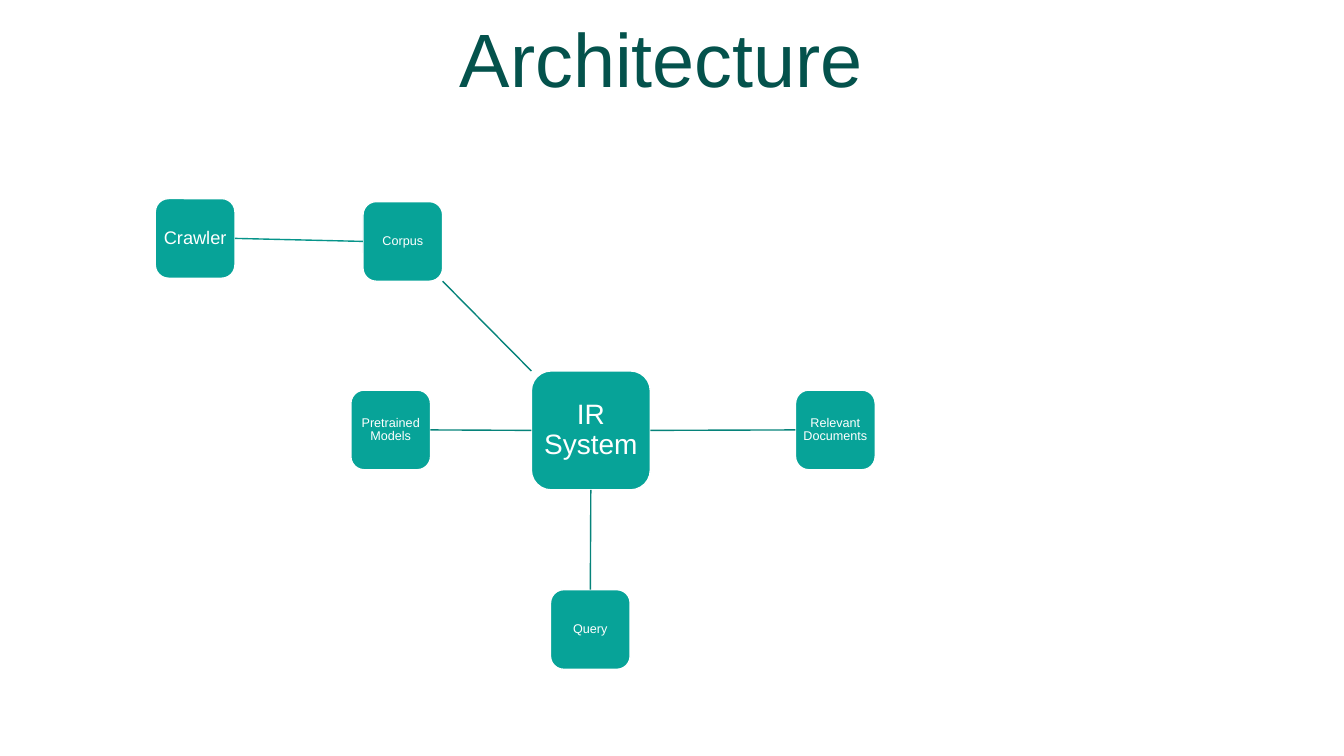
from lxml import etree
from pptx import Presentation
from pptx.dml.color import RGBColor
from pptx.enum.shapes import MSO_CONNECTOR as LINE, MSO_SHAPE as SHAPE
from pptx.enum.text import MSO_ANCHOR as ANCHOR, PP_ALIGN as ALIGN
from pptx.oxml.ns import qn
from pptx.util import Inches, Pt

TOP, LEFT, BOTTOM, RIGHT = range(4)
BIG, SMALL = 1.18, 0.79
# name: left, top, side, text size
NODES = {
    "IR System": (5.27, 3.68, BIG, 20),
    "Relevant Documents": (7.89, 3.87, SMALL, 9),
    "Corpus": (3.6, 2, SMALL, 9),
    "Crawler": (1.54, 1.97, SMALL, 13),
    "Query": (5.46, 5.85, SMALL, 9),
    "Pretrained Models": (3.48, 3.87, SMALL, 9),
}
LINKS = [
    ("IR System", LEFT, "Pretrained Models", RIGHT, "06837A"),
    ("IR System", BOTTOM, "Query", TOP, "06837A"),
    ("IR System", RIGHT, "Relevant Documents", LEFT, "06837A"),
    ("Corpus", LEFT, "Crawler", RIGHT, "06948A"),
]


def color(value):
    return RGBColor.from_string(value)


def write(frame, text, size, ink, inset):
    frame.text = text
    frame.word_wrap = True
    frame.vertical_anchor = ANCHOR.MIDDLE
    frame.margin_left = frame.margin_right = Inches(inset)
    frame.margin_top = frame.margin_bottom = Inches(inset)
    para = frame.paragraphs[0]
    para.alignment = ALIGN.CENTER
    para.line_spacing = 0.9
    font = para.runs[0].font
    font.name, font.size = "Arial", Pt(size)
    font.color.rgb = color(ink)


def add_title(slide, left, top, width, height):
    title = slide.shapes.title
    title.left, title.top = Inches(left), Inches(top)
    title.width, title.height = Inches(width), Inches(height)
    write(title.text_frame, "Architecture", 54, "04524C", 0.05)


def add_node(slide, text, left, top, side, size):
    node = slide.shapes.add_shape(
        SHAPE.ROUNDED_RECTANGLE, Inches(left), Inches(top), Inches(side), Inches(side))
    node.shadow.inherit = False
    node.fill.solid()
    node.fill.fore_color.rgb = color("07A398")
    node.line.color.rgb = color("FFFFFF")
    node.line.width = Pt(1)
    write(node.text_frame, text, size, "FFFFFF", 0.06 if side == BIG else 0.03)
    return node


def add_line(slide, ink, start=(0, 0), end=(0, 0)):
    line = slide.shapes.add_connector(LINE.STRAIGHT, *start, *end)
    line.line.color.rgb = color(ink)
    line.line.width = Pt(1)
    etree.SubElement(line._element.spPr, qn("a:effectLst"))
    return line


def add_graph(slide):
    nodes = {name: add_node(slide, name, *place) for name, place in NODES.items()}
    for source, out, target, into, ink in LINKS:
        line = add_line(slide, ink)
        line.begin_connect(nodes[source], out)
        line.end_connect(nodes[target], into)
    hub, corpus = nodes["IR System"], nodes["Corpus"]
    corner = corpus.left + corpus.width, corpus.top + corpus.height
    add_line(slide, "06837A", (hub.left, hub.top), corner)


def main():
    deck = Presentation()
    deck.slide_width, deck.slide_height = Inches(13.33), Inches(7.5)
    slide = deck.slides.add_slide(deck.slide_layouts[5])
    add_title(slide, 0.23, 0.23, 12.66, 0.79)
    add_graph(slide)
    deck.save("out.pptx")


if __name__ == "__main__":
    main()
